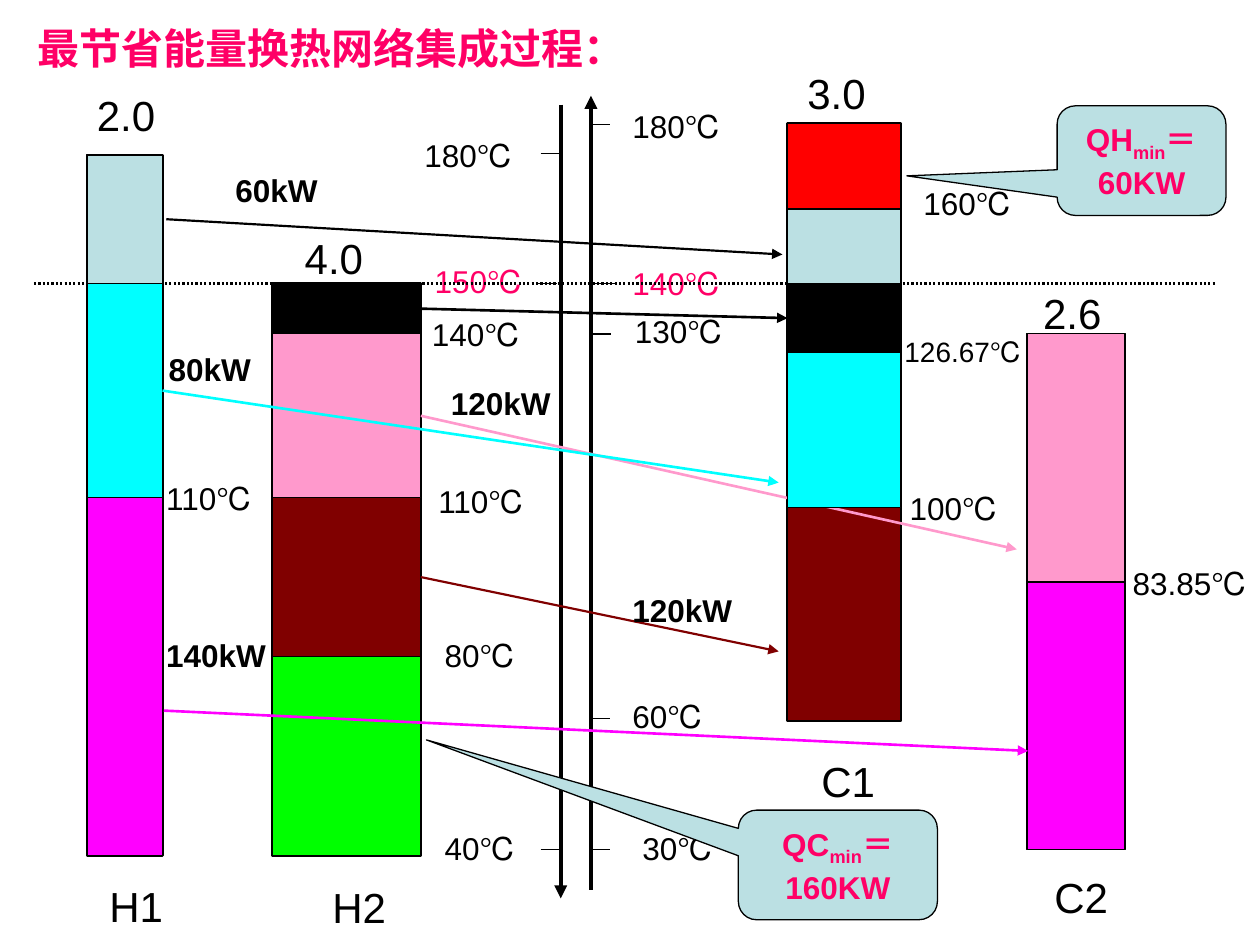
from lxml import etree
from pptx import Presentation
from pptx.dml.color import RGBColor
from pptx.enum.dml import MSO_LINE
from pptx.enum.shapes import MSO_CONNECTOR, MSO_SHAPE
from pptx.enum.text import MSO_ANCHOR, PP_ALIGN
from pptx.oxml.ns import qn
from pptx.util import Inches, Pt

STRAIGHT = MSO_CONNECTOR.STRAIGHT
RECTANGLE = MSO_SHAPE.RECTANGLE
CALLOUT = MSO_SHAPE.ROUNDED_RECTANGULAR_CALLOUT
DOTTED = MSO_LINE.ROUND_DOT
CENTER = PP_ALIGN.CENTER
MIDDLE = MSO_ANCHOR.MIDDLE

BLACK = RGBColor(0, 0, 0)
PINK_RED = RGBColor(0xFF, 0x00, 0x66)
RED = RGBColor(0xFF, 0, 0)
PALE_BLUE = RGBColor(0xBB, 0xE0, 0xE3)
GREEN = RGBColor(0, 0xFF, 0)
MAGENTA = RGBColor(0xFF, 0, 0xFF)
MAROON = RGBColor(0x80, 0, 0)
ROSE = RGBColor(0xFF, 0x99, 0xCC)
CYAN = RGBColor(0, 0xFF, 0xFF)

BODY = {"size": Pt(18), "name": "Arial", "bold": False}
BOLD = {**BODY, "bold": True}
HEADING = {**BODY, "size": Pt(24)}
TITLE = {**BOLD, "size": Pt(24)}
SMALL = {**BODY, "size": Pt(16)}

# Stream: left, width, top, bottom, (name left, top), heat capacity, (its left, top)
STREAMS = {
    "H1": (0.69, 0.6, 1.23, 6.79, (0.77, 6.94), "2.0", (0.67, 0.66)),
    "H2": (2.16, 1.18, 2.25, 6.79, (2.54, 6.95), "4.0", (2.32, 1.8)),
    "C1": (6.25, 0.9, 0.98, 5.72, (6.42, 5.95), "3.0", (6.31, 0.49)),
    "C2": (8.15, 0.78, 2.65, 6.74, (8.27, 6.87), "2.6", (8.18, 2.23)),
}
# Segments served by utilities: stream, top, bottom, colour
UTILITIES = [("C1", 0.98, 1.66, RED), ("H2", 5.21, 6.79, GREEN)]
# Heat exchanges: colour, hot segment, cold segment, arrow start, arrow end, width.
# An arrow end of None joins the middle of the segment's side.
EXCHANGES = [
    (PALE_BLUE, ("H1", 1.23, 2.25), ("C1", 1.66, 2.25), (1.32, 1.74), (6.21, 2.02), 1.25),
    (MAGENTA, ("H1", 3.95, 6.79), ("C2", 4.62, 6.74), (1.3, 5.64), (8.16, 5.96), 1.5),
    (MAROON, ("H2", 3.95, 5.21), ("C1", 4.03, 5.72), None, (6.18, 5.17), 1.25),
    (ROSE, ("H2", 2.65, 3.95), ("C2", 2.65, 4.62), None, (8.07, 4.36), 1.5),
    (CYAN, ("H1", 2.25, 3.95), ("C1", 2.8, 4.03), None, (6.18, 3.83), 1.5),
    (BLACK, ("H2", 2.25, 2.65), ("C1", 2.25, 2.8), None, None, 1.5),
]
DUTIES = [("60kW", 1.77, 1.31), ("140kW", 1.22, 5), ("120kW", 4.92, 4.64),
          ("120kW", 3.48, 3), ("80kW", 1.24, 2.73)]
# Left and top of the scale ticks
TICKS = [(4.26, 2.25), (4.29, 1.22), (4.72, 2.25), (4.68, 0.99),
         (4.68, 5.7), (4.29, 6.74), (4.68, 6.74), (4.69, 2.65)]
SCALE_LABELS = [
    ("40℃", 3.43, 6.53, BLACK), ("130℃", 4.94, 2.43, BLACK),
    ("150℃", 3.35, 2.03, PINK_RED), ("180℃", 3.27, 1.03, BLACK),
    ("140℃", 4.92, 2.05, PINK_RED), ("180℃", 4.92, 0.8, BLACK),
    ("60℃", 4.92, 5.48, BLACK), ("30℃", 5, 6.53, BLACK),
]
SEGMENT_LABELS = [
    ("160℃", 7.23, 1.41), ("80℃", 3.43, 5), ("110℃", 1.22, 3.75),
    ("83.85℃", 8.89, 4.43), ("110℃", 3.38, 3.78), ("100℃", 7.12, 3.83),
    ("140℃", 3.33, 2.45),
]
# Runs, box, pointer adjustments
CALLOUTS = [
    (("QH", "min", "＝60KW"), (8.39, 0.84, 1.34, 0.87), (-1.39, 0.139, 0.167)),
    (("QC", "min", "＝160KW"), (5.86, 6.43, 1.58, 0.87), (-2.067, -1.141, 0.167)),
]

presentation = Presentation()
presentation.slide_width, presentation.slide_height = Inches(10), Inches(7.5)
slide = presentation.slides.add_slide(presentation.slide_layouts[6])
shapes = slide.shapes


def set_font(font, formats, color):
    for name, value in formats.items():
        setattr(font, name, value)
    font.color.rgb = color


def add_text(text, left, top, formats=BODY, color=BLACK, width=1.18, height=0.4):
    box = shapes.add_textbox(*map(Inches, (left, top, width, height)))
    box.text_frame.word_wrap = True
    paragraph = box.text_frame.paragraphs[0]
    paragraph.text = text
    set_font(paragraph.font, formats, color)


def add_line(start, end, color=BLACK, width=0.75, arrow=False):
    line = shapes.add_connector(STRAIGHT, *map(Inches, (*start, *end)))
    line.line.color.rgb = color
    line.line.width = Pt(width)
    if arrow:
        etree.SubElement(line.line._get_or_add_ln(), qn("a:tailEnd"), type="triangle")
    etree.SubElement(line._element.spPr, qn("a:effectLst"))
    return line


def add_outlined(kind, box, fill=None, width=0.75):
    shape = shapes.add_shape(kind, *map(Inches, box))
    shape.shadow.inherit = False
    shape.line.color.rgb = BLACK
    shape.line.width = Pt(width)
    if fill is None:
        shape.fill.background()
    else:
        shape.fill.solid()
        shape.fill.fore_color.rgb = fill
    return shape


def add_segment(stream, top, bottom, fill=None, width=0.75):
    left, bar_width = STREAMS[stream][:2]
    return add_outlined(RECTANGLE, (left, top, bar_width, bottom - top), fill, width)


def add_callout(runs, box, adjustments):
    callout = add_outlined(CALLOUT, box, PALE_BLUE)
    for index, value in enumerate(adjustments):
        callout.adjustments[index] = value
    frame = callout.text_frame
    frame.word_wrap = True
    frame.vertical_anchor = MIDDLE
    paragraph = frame.paragraphs[0]
    paragraph.alignment = CENTER
    for index, text in enumerate(runs):
        run = paragraph.add_run()
        run.text = text
        set_font(run.font, BOLD, PINK_RED)
        if index == 1:
            run.font._element.set("baseline", "-25000")


add_text("最节省能量换热网络集成过程：", 0.2, 0.13, TITLE, PINK_RED, 5.59, 0.5)

# Temperature axes, scale and pinch line
add_line((4.45, 0.83), (4.45, 7.13), width=2.5, arrow=True)
add_line((4.69, 7.06), (4.69, 0.76), width=2.5, arrow=True)
for left, top in TICKS:
    add_line((left, top), (left + 0.16, top))
for text, left, top, color in SCALE_LABELS:
    add_text(text, left, top, color=color)
add_line((0.27, 2.25), (9.65, 2.25), width=1.25).line.dash_style = DOTTED

for name, (_, _, top, bottom, name_at, capacity, capacity_at) in STREAMS.items():
    add_segment(name, top, bottom, width=1.25)
    add_text(name, *name_at, HEADING, width=0.87, height=0.5)
    add_text(capacity, *capacity_at, HEADING, width=0.87, height=0.5)

for callout in CALLOUTS:
    add_callout(*callout)
for segment in UTILITIES:
    add_segment(*segment)

for color, hot, cold, start, end, width in EXCHANGES:
    hot_bar = add_segment(*hot, color)
    cold_bar = add_segment(*cold, color)
    arrow_color = BLACK if color == PALE_BLUE else color
    arrow = add_line(start or (0, 0), end or (0, 0), arrow_color, width, arrow=True)
    if start is None:
        arrow.begin_connect(hot_bar, 3)
    if end is None:
        arrow.end_connect(cold_bar, 1)

for text, left, top in SEGMENT_LABELS:
    add_text(text, left, top)
add_text("126.67℃", 7.08, 2.61, SMALL, height=0.37)
for text, left, top in DUTIES:
    add_text(text, left, top, BOLD)

presentation.save("out.pptx")
